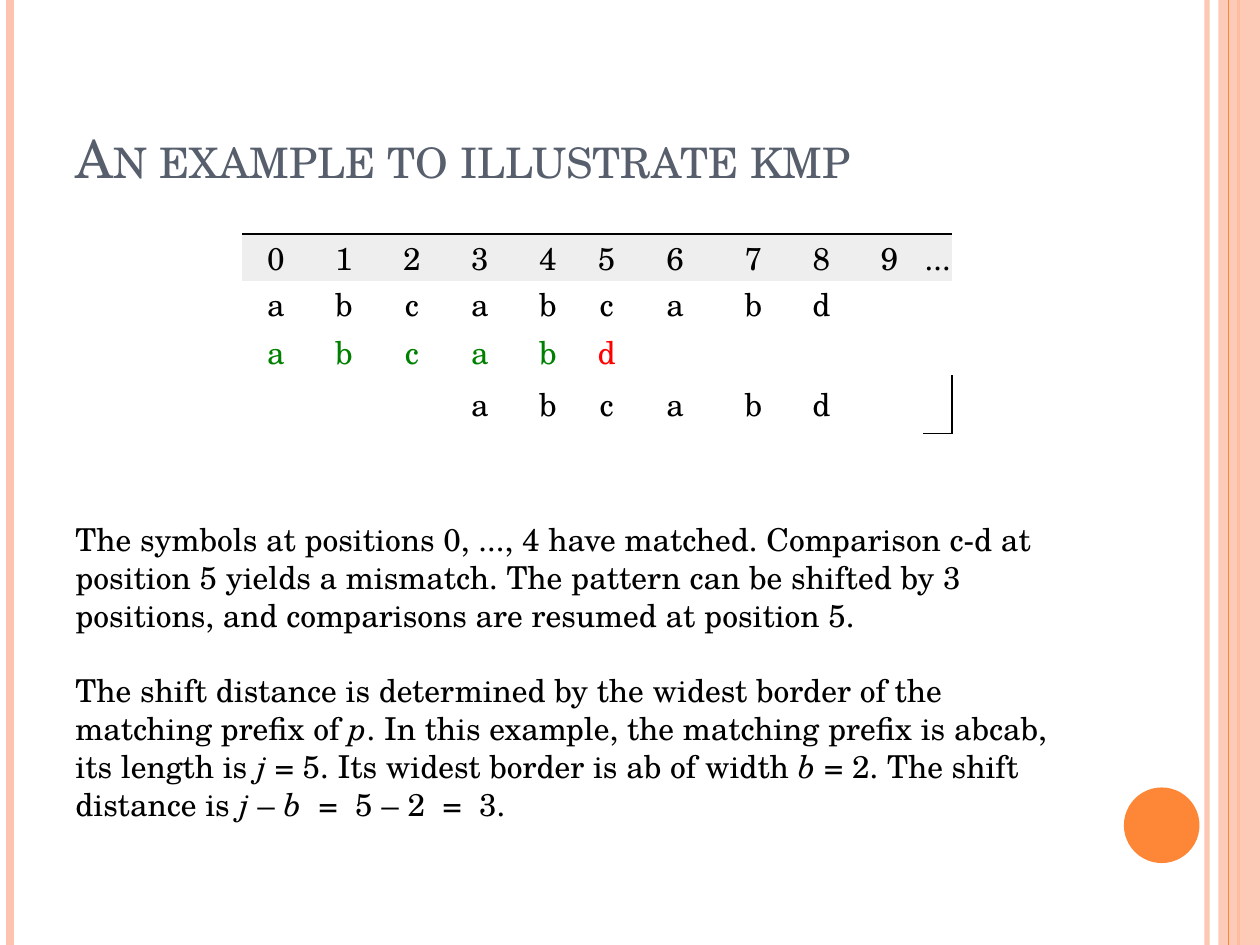
from dataclasses import dataclass

from lxml.etree import SubElement
from pptx import Presentation
from pptx.dml.color import RGBColor as RGB
from pptx.enum.shapes import MSO_CONNECTOR, MSO_SHAPE
from pptx.enum.text import MSO_ANCHOR, MSO_AUTO_SIZE, PP_ALIGN
from pptx.oxml.ns import qn
from pptx.util import Inches, Pt


@dataclass(frozen=True)
class Theme:
    font: str = "TeX Gyre Schola"
    title_size: int = 30
    body_size: int = 18
    title: str = "575F6D"
    ink: str = "000000"
    matched: str = "008000"
    mismatch: str = "FF0000"
    header: str = "EEEEEE"
    paper: str = "FFFFFF"
    peach: str = "FEC3AE"
    orange: str = "FE8637"


theme = Theme()


def format_run(run, color, size=theme.body_size, italic=False):
    for name, value in {"name": theme.font, "size": Pt(size), "italic": italic}.items():
        setattr(run.font, name, value)
    run.font.color.rgb = RGB.from_string(color)


def set_opacity(shape, percent):
    """Apply opacity to the first solid colour of the shape's fill or line."""
    color = next(shape._element.spPr.iter(qn("a:srgbClr")))
    SubElement(color, qn("a:alpha"), val=str(percent * 1000))


deck = Presentation()
deck.slide_width, deck.slide_height = Inches(10), Inches(7.5)
slide = deck.slides.add_slide(deck.slide_layouts[5])
shapes = slide.shapes

# Side rails, from back to front: (kind, x, color, line width or band width, opacity)
rails = [
    ("line", 9.58, theme.peach, 3, 93),
    ("line", 0.08, theme.peach, 4.5, 100),
    ("line", 9.83, theme.orange, 1.5, 100),
    ("band", 9.67, theme.peach, 0.33, 87),
    ("line", 9.75, theme.orange, 0.75, 100),
]
for kind, x, color, width, opacity in rails:
    if kind == "line":
        rail = shapes.add_connector(
            MSO_CONNECTOR.STRAIGHT, Inches(x), 0, Inches(x), deck.slide_height)
        rail.line.color.rgb = RGB.from_string(color)
        rail.line.width = Pt(width)
        SubElement(rail._element.spPr, qn("a:effectLst"))
    else:
        rail = shapes.add_shape(
            MSO_SHAPE.RECTANGLE, Inches(x), 0, Inches(width), deck.slide_height)
        rail.fill.solid()
        rail.fill.fore_color.rgb = RGB.from_string(color)
        rail.line.fill.background()
        rail.shadow.inherit = False
    if opacity < 100:
        set_opacity(rail, opacity)

dot = shapes.add_shape(
    MSO_SHAPE.OVAL, Inches(8.92), Inches(6.25), Inches(0.6), Inches(0.6))
dot.fill.solid()
dot.fill.fore_color.rgb = RGB.from_string(theme.orange)
dot.line.fill.background()
dot.shadow.inherit = False

# Title
title = shapes.title
title.left, title.top = Inches(0.5), Inches(0.3)
title.width, title.height = Inches(8.17), Inches(1.25)
title.text_frame.auto_size = MSO_AUTO_SIZE.NONE
title.text_frame.vertical_anchor = MSO_ANCHOR.BOTTOM
heading = title.text_frame.paragraphs[0]
heading.alignment = PP_ALIGN.LEFT
heading_run = heading.add_run()
heading_run.text = "An example to illustrate kmp"
format_run(heading_run, theme.title, theme.title_size)
heading_run.font._element.set("cap", "small")

# Matching table: positions, text, pattern, shifted pattern
column_widths = [0.54] * 5 + [0.39, 0.7] + [0.54] * 3 + [0.23]
row_heights = [0.37, 0.37, 0.38, 0.46]
rows = [
    [*"0123456789", "..."],
    [*"abcabcabd"],
    [*"abcabd"],
    [""] * 3 + [*"abcabd"],
]
last_row, last_column = len(rows) - 1, len(column_widths) - 1
frame = shapes.add_table(
    len(rows), len(column_widths), Inches(1.92), Inches(1.86),
    Inches(sum(column_widths)), Inches(sum(row_heights)))
table = frame.table
table.first_row = table.horz_banding = False
no_style = "{2D5ABB26-0587-4C30-8999-92F81FD0307C}"
table._tbl.tblPr.find(qn("a:tableStyleId")).text = no_style
for column, width in zip(table.columns, column_widths):
    column.width = Inches(width)

for r, (symbols, height) in enumerate(zip(rows, row_heights)):
    table.rows[r].height = Inches(height)
    for c in range(len(column_widths)):
        cell = table.cell(r, c)
        corner = (r, c) == (last_row, last_column)
        for side in ("left", "right", "top", "bottom"):
            setattr(cell, f"margin_{side}", 0)
        cell.vertical_anchor = MSO_ANCHOR.MIDDLE

        borders = {"lnR": 1.5, "lnB": 0.75} if corner else {"lnT": 1.5} if r == 0 else {}
        for edge, points in borders.items():
            border = SubElement(
                cell._tc.get_or_add_tcPr(), qn(f"a:{edge}"), w=str(Pt(points)))
            border_fill = SubElement(border, qn("a:solidFill"))
            SubElement(border_fill, qn("a:srgbClr"), val=theme.ink)
        if not corner:
            cell.fill.solid()
            cell.fill.fore_color.rgb = RGB.from_string(
                theme.header if r == 0 else theme.paper)

        if c < len(symbols) and symbols[c]:
            color = theme.ink
            if r == 2:
                color = theme.matched if symbols[c] == rows[1][c] else theme.mismatch
            paragraph = cell.text_frame.paragraphs[0]
            paragraph.alignment = PP_ALIGN.CENTER
            symbol_run = paragraph.add_run()
            symbol_run.text = symbols[c]
            format_run(symbol_run, color)

# Explanation: runs alternate between upright and italic
explanation = [
    ["The symbols at positions 0, ..., 4 have matched. Comparison c-d at position 5 "
     "yields a mismatch. The pattern can be shifted by 3 positions, and comparisons "
     "are resumed at position 5."],
    ["The shift distance is determined by the widest border of the matching prefix of ",
     "p", ". In this example, the matching prefix is abcab, its length is ",
     "j", " = 5. Its widest border is ab of width ",
     "b", " = 2. The shift distance is ",
     "j", " – ", "b", "  =  5 – 2  =  3."],
]
body = shapes.add_textbox(Inches(0.5), Inches(4.08), Inches(7.92), Inches(2.83)).text_frame
body.word_wrap = True
for i, pieces in enumerate(explanation):
    paragraph = body.add_paragraph() if i else body.paragraphs[0]
    if i:
        paragraph.space_before = Pt(21.6)
    for k, piece in enumerate(pieces):
        run = paragraph.add_run()
        run.text = piece
        format_run(run, theme.ink, italic=k % 2 == 1)

deck.save("out.pptx")
